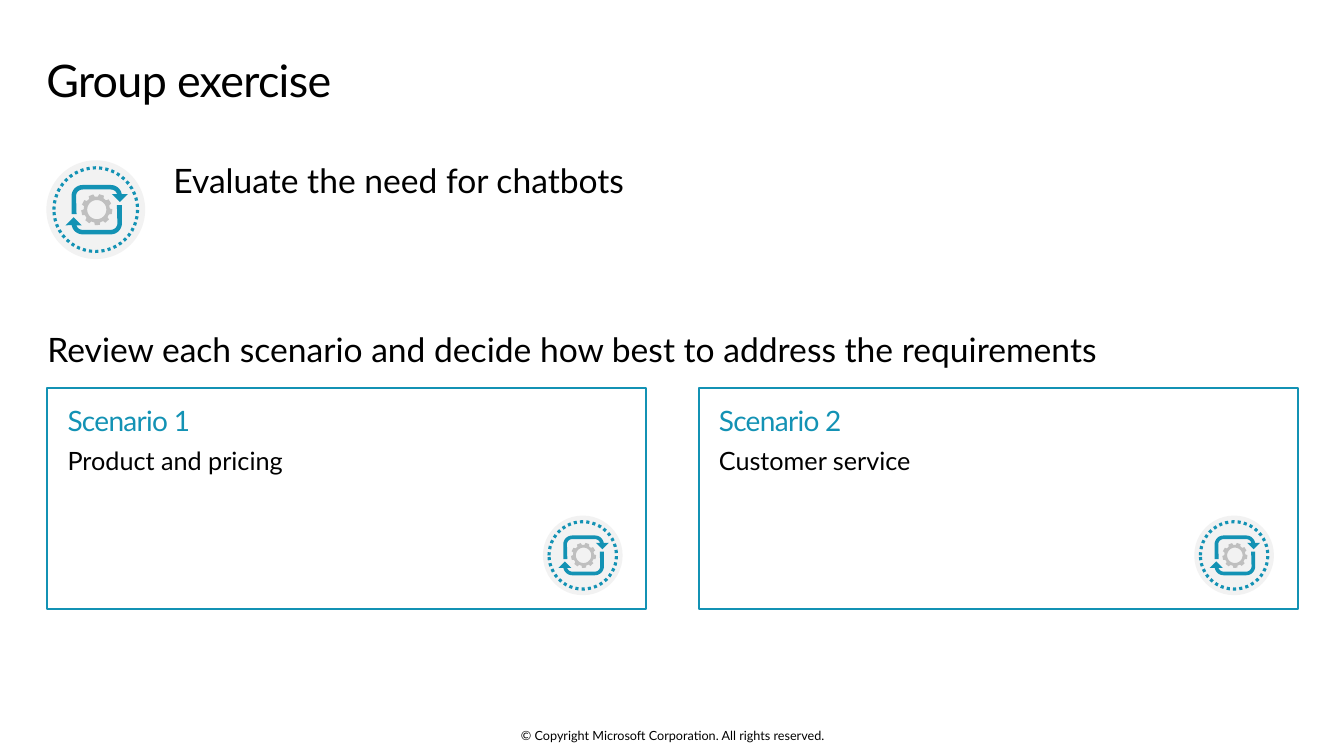
from math import cos, radians, sin

from pptx import Presentation
from pptx.dml.color import RGBColor
from pptx.enum.dml import MSO_LINE
from pptx.enum.shapes import MSO_SHAPE as Shape
from pptx.enum.text import MSO_ANCHOR as Anchor, MSO_AUTO_SIZE as AutoSize, PP_ALIGN as Align
from pptx.oxml.ns import qn
from pptx.util import Inches, Pt

BLACK = RGBColor(0x00, 0x00, 0x00)
TEAL = RGBColor(0x13, 0x92, 0xB4)
PALE = RGBColor(0xF2, 0xF2, 0xF2)
GRAY = RGBColor(0xBF, 0xBF, 0xBF)


def polar(r, deg, cx=0, cy=0):
    return cx + r * cos(radians(deg)), cy + r * sin(radians(deg))


def arc(cx, cy, r, start, end, steps=8):
    return [polar(r, start + (end - start) * i / steps, cx, cy) for i in range(steps + 1)]


# Icon outlines in inches around the icon centre, for an icon 0.98 wide
ICON = 0.98
UPPER_ARROW = (
    arc(-0.14, -0.135, 0.065, 180, 270)
    + arc(0.14, -0.135, 0.065, 270, 342)
    + [(0.15, -0.155), (0.23, -0.075), (0.31, -0.155)]
    + arc(0.14, -0.135, 0.11, 350, 270)
    + arc(-0.14, -0.135, 0.11, 270, 180)
    + [(-0.25, 0.045), (-0.2, 0.045)]
)
LOWER_ARROW = [(-x, -y) for x, y in UPPER_ARROW]
TOOTH = [(0.13, -13), (0.155, -9), (0.155, 9), (0.13, 13)]
GEAR = [polar(r, 8 + 40 * i + a) for i in range(9) for r, a in TOOTH]
GEAR_HOLE = arc(0, 0, 0.095, 360, 0, 36)


class SlideBuilder:
    font = "Lato"

    def __init__(self):
        self.prs = Presentation()
        self.prs.slide_width, self.prs.slide_height = Inches(13.33), Inches(7.5)
        self.s = self.prs.slides.add_slide(self.prs.slide_layouts.get_by_name("Comparison"))

    def frame(self, sp, insets, anchor=Anchor.TOP):
        tf = sp.text_frame
        sides = ("margin_left", "margin_top", "margin_right", "margin_bottom")
        values = dict(zip(sides, map(Inches, insets)))
        values.update(word_wrap=True, auto_size=AutoSize.NONE, vertical_anchor=anchor)
        for name, value in values.items():
            setattr(tf, name, value)
        return tf

    def paragraph(self, p, text, size, color=BLACK, spacing=0, **layout):
        pPr = p._p.get_or_add_pPr()
        pPr.set("marL", "0")
        pPr.set("indent", "0")
        pPr.append(pPr.makeelement(qn("a:buNone"), {}))
        values = {"alignment": Align.LEFT, "space_before": Pt(0), **layout}
        for name, value in values.items():
            setattr(p, name, value)
        r = p.add_run()
        r.text = text
        for name, value in {"name": self.font, "size": Pt(size), "bold": False}.items():
            setattr(r.font, name, value)
        r.font.color.rgb = color
        r._r.get_or_add_rPr().set("spc", str(round(spacing * 100)))

    def placeholder(self, idx, box, insets=(0, 0, 0, 0)):
        sp = self.s.placeholders[idx]
        for name, value in zip(("left", "top", "width", "height"), box):
            setattr(sp, name, Inches(value))
        return sp, self.frame(sp, insets)

    def title(self, text, box):
        sp, tf = self.placeholder(0, box, (0, 0.1, 0.16, 0.1))
        self.paragraph(tf.paragraphs[0], text, 32, spacing=-0.5, line_spacing=0.9)

    def statement(self, idx, text, box):
        sp, tf = self.placeholder(idx, box)
        self.paragraph(tf.paragraphs[0], text, 24, level=1, space_after=Pt(5.9))

    def card(self, idx, heading, text, box):
        sp, tf = self.placeholder(idx, box, (0.2, 0.15, 0.2, 0.05))
        sp.line.color.rgb = TEAL
        sp.line.width = Pt(1.5)
        self.paragraph(tf.paragraphs[0], heading, 20, TEAL, -0.5, space_after=Pt(4))
        self.paragraph(tf.add_paragraph(), text, 18, level=1,
                       space_before=Pt(2), space_after=Pt(4))

    def footer(self, text, box):
        sp = self.s.shapes.add_textbox(*map(Inches, box))
        tf = self.frame(sp, (0, 0, 0, 0), Anchor.MIDDLE)
        self.paragraph(tf.paragraphs[0], text, 9, alignment=Align.CENTER)

    def fill(self, sp, color):
        sp.shadow.inherit = False
        sp.fill.solid()
        sp.fill.fore_color.rgb = color
        sp.line.fill.background()

    def disc(self, shapes, cx, cy, size):
        sp = shapes.add_shape(Shape.OVAL, *map(Inches, (cx - size / 2, cy - size / 2, size, size)))
        sp.shadow.inherit = False
        return sp

    def outline(self, shapes, contours, cx, cy, scale, color):
        placed = [[(Inches(cx + x * scale), Inches(cy + y * scale)) for x, y in c]
                  for c in contours]
        fb = shapes.build_freeform(*placed[0][0])
        fb.add_line_segments(placed[0][1:], close=True)
        for contour in placed[1:]:
            fb.move_to(*contour[0])
            fb.add_line_segments(contour[1:], close=True)
        self.fill(fb.convert_to_shape(), color)

    def icon(self, cx, cy, size):
        shapes = self.s.shapes.add_group_shape().shapes
        scale = size / ICON
        self.fill(self.disc(shapes, cx, cy, size), PALE)
        ring = self.disc(shapes, cx, cy, 0.83 * scale)
        ring.fill.background()
        ring.line.color.rgb = TEAL
        ring.line.width = Pt(2.25)
        ring.line.dash_style = MSO_LINE.ROUND_DOT
        mid = cx + 0.01 * scale
        for contours, color in (([UPPER_ARROW], TEAL), ([LOWER_ARROW], TEAL),
                                ([GEAR, GEAR_HOLE], GRAY)):
            self.outline(shapes, contours, mid, cy, scale, color)


def main():
    b = SlideBuilder()

    # Title and exercise
    b.title("Group exercise", (0.46, 0.48, 12.4, 0.74))
    b.icon(0.95, 2.08, ICON)
    b.statement(1, "Evaluate the need for chatbots", (1.72, 1.59, 11.16, 0.98))
    b.statement(3, "Review each scenario and decide how best to address the requirements",
                (0.47, 3.26, 12.4, 0.59))

    # Scenario cards
    scenarios = ((2, "Product and pricing"), (4, "Customer service"))
    for i, (idx, text) in enumerate(scenarios):
        left = 0.47 + 6.46 * i
        b.card(idx, f"Scenario {i + 1}", text, (left, 3.85, 5.94, 2.19))
        b.icon(left + 5.31, 5.51, 0.79)

    # Copyright line
    b.footer("© Copyright Microsoft Corporation. All rights reserved.", (4.42, 7.22, 4.5, 0.15))
    b.prs.save("out.pptx")


if __name__ == "__main__":
    main()
